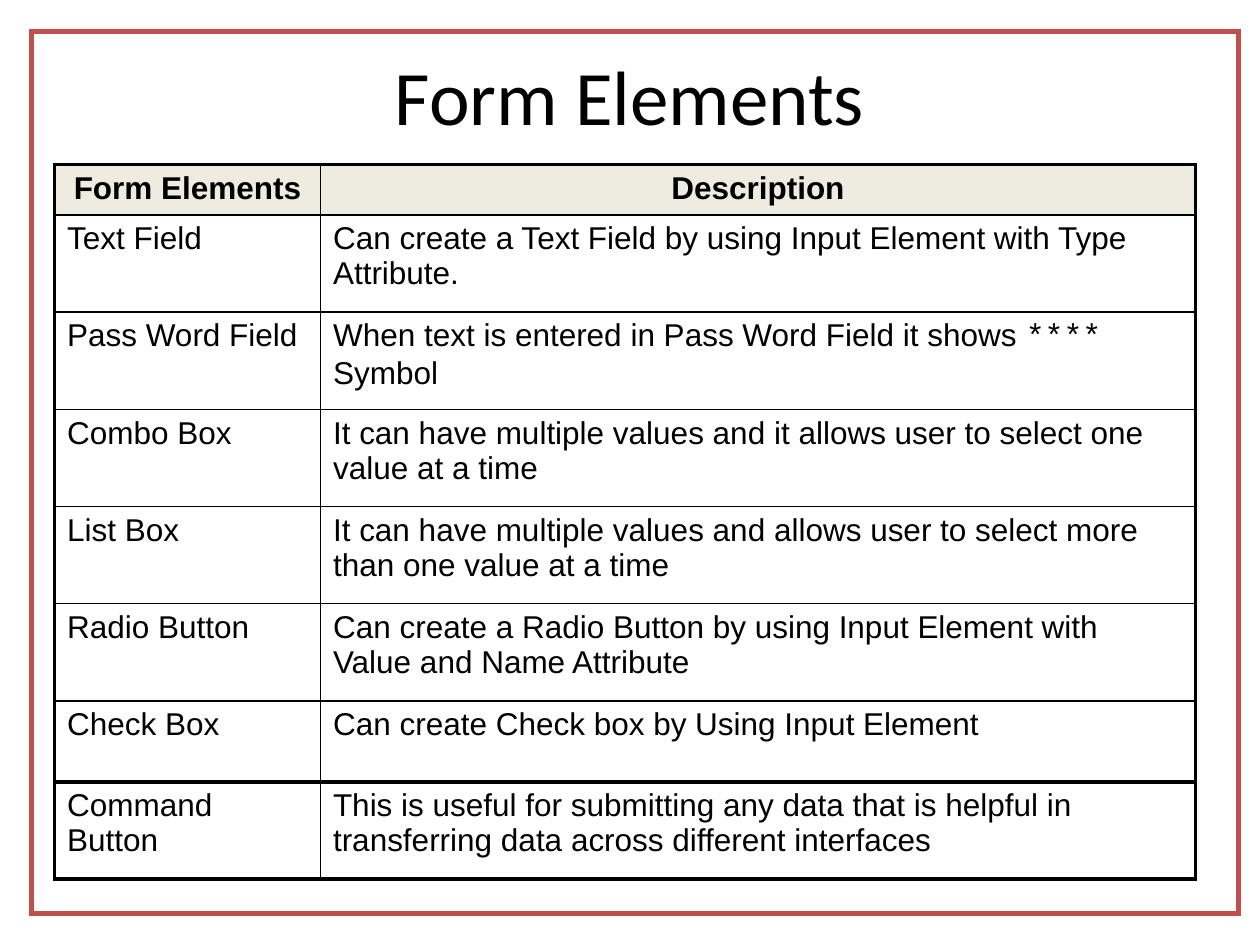
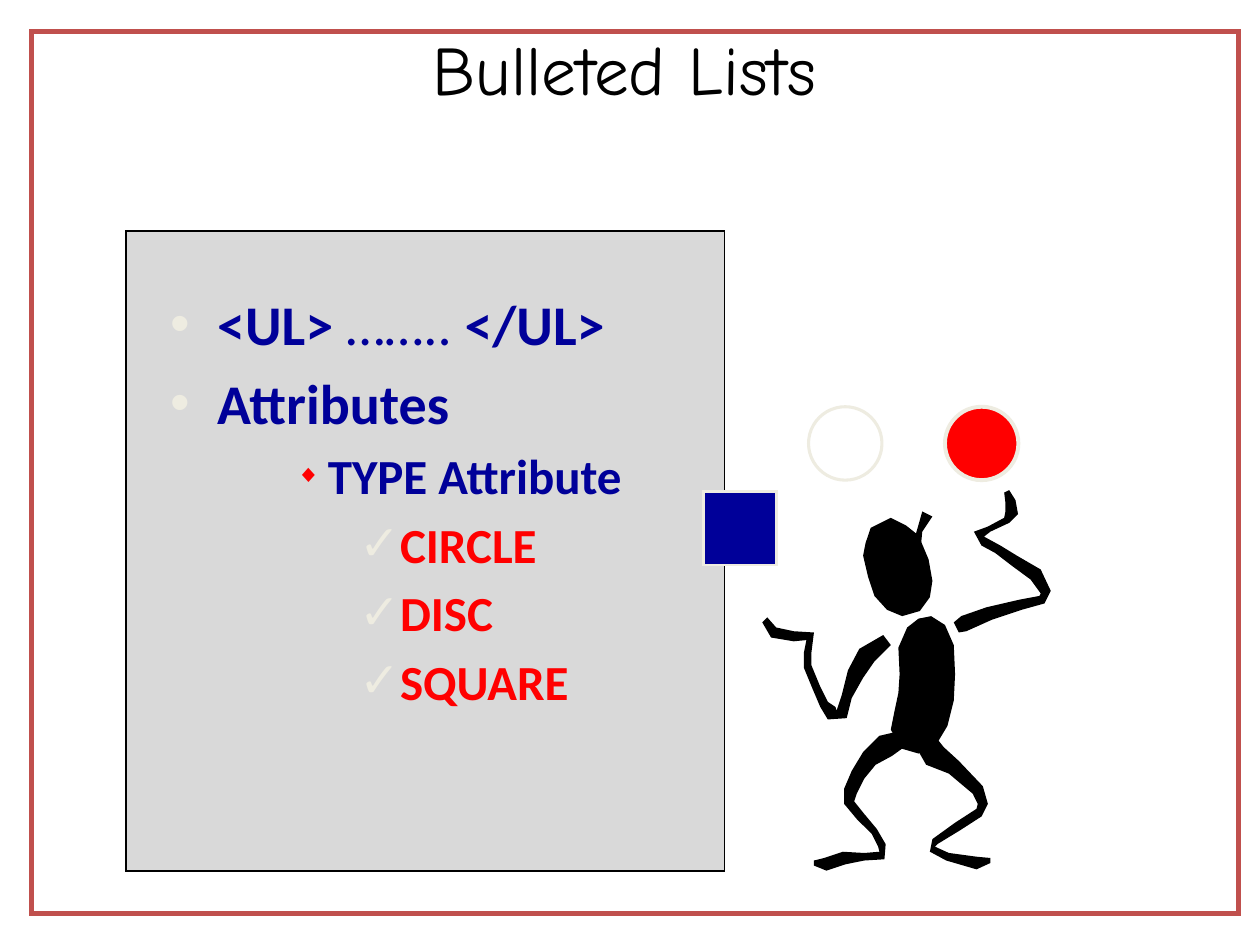
from dataclasses import dataclass
from math import hypot
from typing import NamedTuple, Optional

from lxml.etree import SubElement
from pptx import Presentation
from pptx.dml.color import RGBColor
from pptx.enum.shapes import MSO_SHAPE as Preset
from pptx.enum.text import MSO_ANCHOR as Anchor, MSO_AUTO_SIZE as AutoSize, PP_ALIGN as Align
from pptx.oxml.ns import qn
from pptx.util import Cm, Pt

# Shared colours and fonts
BLACK = RGBColor(0x00, 0x00, 0x00)
WHITE = RGBColor(0xFF, 0xFF, 0xFF)
FRAME_RED = RGBColor(0xC0, 0x50, 0x4D)
CREAM = RGBColor(0xEE, 0xEC, 0xE1)
PANEL_GREY = RGBColor(0xD9, 0xD9, 0xD9)
NAVY = RGBColor(0x00, 0x00, 0x99)
RED = RGBColor(0xFF, 0x00, 0x00)

BODY_FONT = "Calibri"
TABLE_FONT = "Arial"
CODE_FONT = "Courier New"
TITLE_ONLY = 5


class Box(NamedTuple):
    left: float
    top: float
    width: float
    height: float

    def lengths(self) -> list:
        return [Cm(value) for value in self]


class Joint(NamedTuple):
    """A point on the middle line of a body part, and how thick the part is there."""
    x: int
    y: int
    thickness: int


@dataclass(frozen=True)
class Figure:
    preset: Preset
    box: Box
    fill: Optional[RGBColor]
    line: RGBColor
    line_width: float


@dataclass(frozen=True)
class Title:
    text: str
    box: Box
    size: float
    font: str


@dataclass(frozen=True)
class Bullet:
    level: int
    margin: float
    hanging: float
    symbol: str
    symbol_color: RGBColor
    symbol_percent: int
    size: int
    color: RGBColor


FRAME = Figure(Preset.RECTANGLE, Box(0.64, 0.64, 24.33, 17.78), WHITE, FRAME_RED, 3)

# Form elements table
ELEMENTS_TITLE = Title("Form Elements", Box(1.9, 0.32, 21.59, 3.18), 44, BODY_FONT)
TABLE_LEFT, TABLE_TOP = 1.1, 3.32
COLUMN_WIDTHS = (5.36, 17.64)
ROW_HEIGHTS = (1.01, *[1.96] * 5, 1.63, 1.96)
MASK = "****"
ELEMENT_ROWS = (
    ("Form Elements", ("Description",)),
    ("Text Field", ("Can create a Text Field by using Input Element with Type Attribute.",)),
    ("Pass Word Field", ("When text is entered in Pass Word Field it shows ", MASK, " Symbol")),
    ("Combo Box", ("It can have multiple values and it allows user to select one value at a time",)),
    ("List Box", ("It can have multiple values and allows user to select more than one value at a time",)),
    ("Radio Button", ("Can create a Radio Button by using Input Element with Value and Name Attribute",)),
    ("Check Box", ("Can create Check box by Using Input Element",)),
    ("Command Button", ("This is useful for submitting any data that is helpful in "
                        "transferring data across different interfaces",)),
)
HEAVY, THIN = Pt(2.25), Pt(1)
HEAVY_RULES = (0, 7, 8)  # horizontal rules, counted from the top edge

# Bulleted list
LISTS_TITLE = Title("Bulleted Lists", Box(6.56, 0.42, 12.07, 1.91), 39.6, "Comic Neue")
PANEL = Figure(Preset.RECTANGLE, Box(2.54, 4.66, 12.07, 12.9), PANEL_GREY, BLACK, 0.75)
LIST_BOX = Box(3.18, 5.72, 12.07, 9.1)
MAIN = Bullet(0, 0.95, 0.95, "•", CREAM, 100, 32, NAVY)
ATTRIBUTE = Bullet(2, 3.18, 0.64, "◆", RED, 50, 28, NAVY)
VALUE = Bullet(3, 4.45, 0.64, "✓", CREAM, 100, 28, RED)
LIST_ITEMS = (
    (MAIN, ("<UL>", " …….. ", "</UL>")),
    (MAIN, ("Attributes",)),
    (ATTRIBUTE, ("TYPE Attribute",)),
    (VALUE, ("CIRCLE",)),
    (VALUE, ("DISC",)),
    (VALUE, ("SQUARE",)),
)

# The bullet shapes that the juggler throws
BALL_SIZE = 1.48
DISC = Figure(Preset.OVAL, Box(19.05, 8.2, BALL_SIZE, BALL_SIZE), RED, CREAM, 2.25)
SQUARE = Figure(Preset.RECTANGLE, Box(14.18, 9.91, BALL_SIZE, BALL_SIZE), NAVY, CREAM, 1.5)
CIRCLE = Figure(Preset.OVAL, Box(16.3, 8.2, BALL_SIZE, BALL_SIZE), None, CREAM, 1.75)

# The juggler's body: joints (x, y, thickness) in grid units from the slide corner
GRID_UNIT = Cm(0.0254)
JUGGLER = {
    "head": ((699, 415, 18), (703, 424, 35), (707, 433, 46), (713, 451, 51),
             (717, 467, 47), (721, 479, 35), (723, 487, 14)),
    "antenna": ((728, 431, 7), (730, 421, 5), (736, 408, 8)),
    "torso": ((734, 490, 10), (735, 497, 30), (735, 513, 44), (736, 535, 44),
              (735, 553, 44), (731, 570, 43), (725, 585, 39), (722, 596, 14)),
    # shoulder, upper arm, elbow, forearm, wrist, hand
    "left arm": ((704, 508, 10), (688, 520, 16), (679, 535, 13), (672, 553, 9),
                 (668, 567, 10), (660, 566, 11), (654, 559, 8), (648, 546, 6), (641, 529, 7),
                 (641, 518, 6), (643, 505, 9), (630, 505, 8), (614, 502, 9), (607, 492, 6)),
    "right arm": ((759, 498, 8), (765, 495, 12), (785, 487, 11), (810, 480, 8),
                  (827, 476, 7), (830, 470, 8), (822, 456, 10), (805, 445, 9), (792, 436, 7),
                  (781, 430, 8), (777, 424, 9), (785, 420, 4), (799, 413, 6),
                  (803, 407, 10), (802, 398, 9), (799, 390, 4)),
    # hip, thigh, knee, shin, ankle, foot
    "left leg": ((717, 586, 12), (703, 592, 18), (690, 602, 15), (681, 615, 12),
                 (675, 628, 10), (674, 637, 8), (683, 648, 7), (694, 660, 6),
                 (700, 671, 6), (700, 679, 7), (686, 680, 6), (670, 681, 10),
                 (655, 686, 11), (646, 685, 4)),
    "right leg": ((734, 588, 18), (742, 600, 20), (757, 609, 13), (776, 627, 11),
                  (780, 638, 9), (777, 645, 7), (760, 656, 6), (742, 668, 5),
                  (740, 674, 6), (752, 680, 6), (775, 685, 10), (786, 683, 4)),
}


def draw_figure(shapes, figure: Figure) -> None:
    shape = shapes.add_shape(figure.preset, *figure.box.lengths())
    shape.shadow.inherit = False
    if figure.fill is None:
        shape.fill.background()
    else:
        shape.fill.solid()
        shape.fill.fore_color.rgb = figure.fill
    shape.line.color.rgb = figure.line
    shape.line.width = Pt(figure.line_width)
    line = shape.element.spPr.find(qn("a:ln"))
    SubElement(line, qn("a:miter")).set("lim", "800000")


def outline_around(joints: list[Joint]) -> list[tuple]:
    """Go down one side of the joints and back up the other, half a thickness away."""
    near_side, far_side = [], []
    for index, joint in enumerate(joints):
        before = joints[max(index - 1, 0)]
        after = joints[min(index + 1, len(joints) - 1)]
        along_x, along_y = after.x - before.x, after.y - before.y
        half = joint.thickness / 2 / hypot(along_x, along_y)
        across_x, across_y = -along_y * half, along_x * half
        near_side.append((joint.x + across_x, joint.y + across_y))
        far_side.append((joint.x - across_x, joint.y - across_y))
    return near_side + far_side[::-1]


def draw_body_part(shapes, joints: list[Joint]) -> None:
    start, *others = outline_around(joints)
    builder = shapes.build_freeform(*start, scale=GRID_UNIT)
    builder.add_line_segments(others, close=True)
    shape = builder.convert_to_shape()
    shape.shadow.inherit = False
    shape.fill.solid()
    shape.fill.fore_color.rgb = BLACK
    shape.line.fill.background()


def write_runs(paragraph, texts: tuple, font: str, size: float, color: RGBColor, bold: bool) -> None:
    paragraph.text = texts[0]
    for text in texts[1:]:
        paragraph.add_run().text = text
    for run in paragraph.runs:
        run.font.name = font
        run.font.size = Pt(size)
        run.font.color.rgb = color
        run.font.bold = bold


def set_space_before(paragraph, percent: int) -> None:
    space = SubElement(paragraph._p.get_or_add_pPr(), qn("a:spcBef"))
    SubElement(space, qn("a:spcPct")).set("val", str(percent * 1000))


def set_bullet(paragraph, bullet: Bullet) -> None:
    paragraph.level = bullet.level
    properties = paragraph._p.get_or_add_pPr()
    properties.set("marL", str(Cm(bullet.margin)))
    properties.set("indent", str(-Cm(bullet.hanging)))
    color = SubElement(properties, qn("a:buClr"))
    SubElement(color, qn("a:srgbClr")).set("val", str(bullet.symbol_color))
    SubElement(properties, qn("a:buSzPct")).set("val", str(bullet.symbol_percent * 1000))
    SubElement(properties, qn("a:buFont")).set("typeface", "Arial")
    SubElement(properties, qn("a:buChar")).set("char", bullet.symbol)


def set_borders(cell, row: int, column: int) -> None:
    heavy_sides = {
        "a:lnL": column == 0,
        "a:lnR": column == len(COLUMN_WIDTHS) - 1,
        "a:lnT": row in HEAVY_RULES,
        "a:lnB": row + 1 in HEAVY_RULES,
    }
    properties = cell._tc.get_or_add_tcPr()
    for side, heavy in heavy_sides.items():
        line = SubElement(properties, qn(side), w=str(HEAVY if heavy else THIN))
        fill = SubElement(line, qn("a:solidFill"))
        SubElement(fill, qn("a:srgbClr")).set("val", str(BLACK))


def fill_cell(cell, texts: tuple, is_header: bool) -> None:
    if is_header:
        cell.fill.solid()
        cell.fill.fore_color.rgb = CREAM
    else:
        cell.fill.background()
    paragraph = cell.text_frame.paragraphs[0]
    paragraph.alignment = Align.CENTER if is_header else Align.LEFT
    set_space_before(paragraph, 20)
    write_runs(paragraph, texts, TABLE_FONT, 18, BLACK, is_header)
    for run in paragraph.runs:
        if run.text == MASK:
            run.font.name = CODE_FONT


def add_framed_slide(presentation, title: Title, *backdrop: Figure):
    slide = presentation.slides.add_slide(presentation.slide_layouts[TITLE_ONLY])
    for figure in (FRAME, *backdrop):
        draw_figure(slide.shapes, figure)
    shape = slide.shapes.title
    shape.element.getparent().append(shape.element)  # bring in front of the frame
    shape.left, shape.top, shape.width, shape.height = title.box.lengths()
    text_frame = shape.text_frame
    text_frame.auto_size = AutoSize.NONE
    text_frame.vertical_anchor = Anchor.MIDDLE
    paragraph = text_frame.paragraphs[0]
    paragraph.alignment = Align.CENTER
    write_runs(paragraph, (title.text,), title.font, title.size, BLACK, False)
    return slide


def build_elements_slide(presentation) -> None:
    slide = add_framed_slide(presentation, ELEMENTS_TITLE)
    box = Box(TABLE_LEFT, TABLE_TOP, sum(COLUMN_WIDTHS), sum(ROW_HEIGHTS))
    table = slide.shapes.add_table(len(ROW_HEIGHTS), len(COLUMN_WIDTHS), *box.lengths()).table
    table.first_row = table.horz_banding = False
    for column, width in zip(table.columns, COLUMN_WIDTHS):
        column.width = Cm(width)
    for row, height in zip(table.rows, ROW_HEIGHTS):
        row.height = Cm(height)
    for row_index, (name, description) in enumerate(ELEMENT_ROWS):
        for column_index, texts in enumerate(((name,), description)):
            cell = table.cell(row_index, column_index)
            set_borders(cell, row_index, column_index)
            fill_cell(cell, texts, is_header=row_index == 0)


def add_bullet_list(slide) -> None:
    text_frame = slide.shapes.add_textbox(*LIST_BOX.lengths()).text_frame
    text_frame.word_wrap = True
    for index, (bullet, texts) in enumerate(LIST_ITEMS):
        paragraph = text_frame.add_paragraph() if index else text_frame.paragraphs[0]
        set_space_before(paragraph, 20)
        set_bullet(paragraph, bullet)
        write_runs(paragraph, texts, BODY_FONT, bullet.size, bullet.color, True)
        for run in paragraph.runs:
            run.font.bold = "…" not in run.text


def add_juggler(slide) -> None:
    shapes = slide.shapes.add_group_shape().shapes
    for joints in JUGGLER.values():
        draw_body_part(shapes, [Joint(*joint) for joint in joints])
    for ball in (DISC, SQUARE, CIRCLE):
        draw_figure(shapes, ball)


def build_lists_slide(presentation) -> None:
    slide = add_framed_slide(presentation, LISTS_TITLE, PANEL)
    add_bullet_list(slide)
    add_juggler(slide)


def main() -> None:
    presentation = Presentation()
    presentation.slide_width, presentation.slide_height = Cm(25.4), Cm(19.05)
    build_elements_slide(presentation)
    build_lists_slide(presentation)
    presentation.save("out.pptx")


if __name__ == "__main__":
    main()
